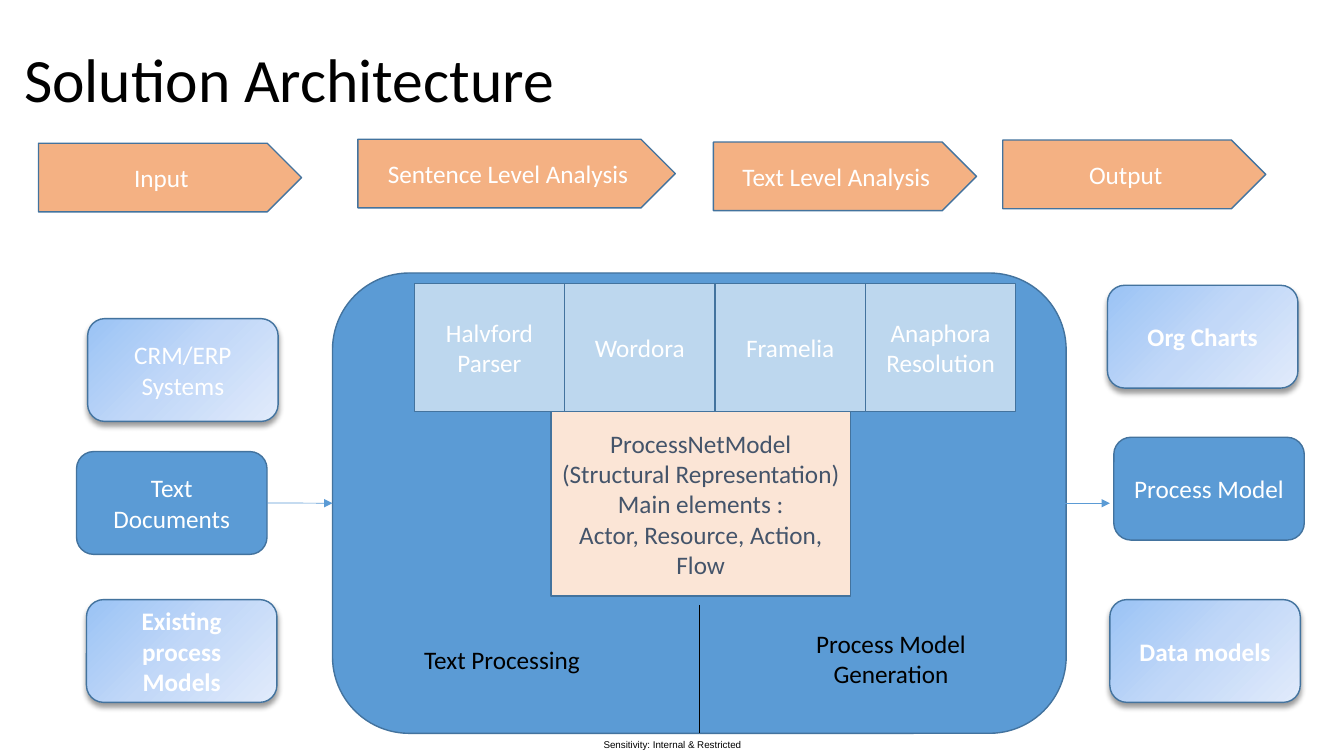
from copy import deepcopy
from lxml import etree
from pptx import Presentation
from pptx import util as u
from pptx.dml.color import RGBColor
from pptx.enum import shapes, text
from pptx.oxml import parse_xml
from pptx.oxml.ns import qn, nsdecls

# Content, with lengths in cm
COLORS = {"black": "000000", "white": "FFFFFF", "blue": "5B9BD5", "outline": "43739E",
          "orange": "F4B183", "pale_blue": "BDD7EE", "peach": "FBE5D6", "slate": "44546A"}
GRADIENT = ["9AC3F5", "C2D8F8", "E1EBFB"]

STAGE_HEIGHT = 1.73
STAGES = [  # name, left, top, width
    ("Input", 0.97, 3.61, 6.63),
    ("Sentence Level Analysis", 9.02, 3.51, 8.0),
    ("Text Level Analysis", 17.98, 3.58, 6.63),
    ("Output", 25.27, 3.53, 6.63),
]
NODE_SIZE = (4.8, 2.59)
MAIN_NODES = [("Text Documents", 1.93, 11.38), ("Process Model", 28.07, 11.02)]
SOFT_NODES = [  # name, left, top, bold
    ("CRM/ERP Systems", 2.21, 8.03, False),
    ("Existing process Models", 2.18, 15.11, True),
    ("Data models", 27.97, 15.11, True),
    ("Org Charts", 27.91, 7.19, True),
]
ENGINE_BOX = (8.38, 6.88, 18.49, 11.6)
TOOLS = ["Halvford Parser", "Wordora", "Framelia", "Anaphora Resolution"]
TOOL_BOX = (10.44, 7.14, 3.79, 3.23)
MODEL_BOX = (13.89, 10.37, 7.54, 4.65)
MODEL_LINES = ["ProcessNetModel", "(Structural Representation)", "Main elements :",
               "Actor, Resource, Action, Flow"]

SHAPE = shapes.MSO_SHAPE
CENTER, LEFT = text.PP_ALIGN.CENTER, text.PP_ALIGN.LEFT
MIDDLE, TOP = text.MSO_ANCHOR.MIDDLE, text.MSO_ANCHOR.TOP

presentation = Presentation()
presentation.slide_width, presentation.slide_height = u.Cm(33.87), u.Cm(19.05)
slide = presentation.slides.add_slide(presentation.slide_layouts[6])


def rgb(name):
    return RGBColor.from_string(COLORS[name])


def write(shape, lines, color, size=18, font="Calibri", bold=False, align=CENTER, anchor=MIDDLE):
    frame = shape.text_frame
    frame.word_wrap = True
    frame.vertical_anchor = anchor
    frame.text = "\n".join(lines)
    for paragraph in frame.paragraphs:
        paragraph.alignment = align
        paragraph.font.name, paragraph.font.size = font, u.Pt(size)
        paragraph.font.bold = bold
        paragraph.font.color.rgb = rgb(color)
    return frame


def add_box(kind, box, fill, lines=(), color="white", bold=False, parent=slide):
    shape = parent.shapes.add_shape(kind, *map(u.Cm, box))
    shape.shadow.inherit = False
    if fill:
        shape.fill.solid()
        shape.fill.fore_color.rgb = rgb(fill)
    shape.line.color.rgb = rgb("outline")
    shape.line.width = u.Pt(1)
    if lines:
        write(shape, lines, color, bold=bold)
    return shape


def add_label(box, line, **style):
    return write(slide.shapes.add_textbox(*map(u.Cm, box)), [line], "black", **style)


def add_line(x1, y1, x2, y2, color, arrow=False):
    line = slide.shapes.add_connector(shapes.MSO_CONNECTOR.STRAIGHT, *map(u.Cm, (x1, y1, x2, y2)))
    line.line.color.rgb = rgb(color)
    line.line.width = u.Pt(0.5)
    if arrow:
        etree.SubElement(line.line._get_or_add_ln(), qn("a:tailEnd"), type="triangle")
    etree.SubElement(line._element.spPr, qn("a:effectLst"))
    return line


def soften(shape):
    """Three-stop diagonal gradient and a soft shadow below."""
    shape.fill.gradient()
    shape.fill.gradient_angle = 315
    stop_list = shape._element.spPr.find(qn("a:gradFill")).find(qn("a:gsLst"))
    stop_list.insert(1, deepcopy(stop_list[0]))
    for index, (stop, color) in enumerate(zip(shape.fill.gradient_stops, GRADIENT)):
        stop.position = index / 2
        stop.color.rgb = RGBColor.from_string(color)
    shape._element.spPr.find(qn("a:effectLst")).append(parse_xml(
        f'<a:outerShdw {nsdecls("a")} blurRad="{u.Pt(4)}" dist="{u.Pt(3)}" dir="5400000" '
        'algn="t" rotWithShape="0"><a:srgbClr val="000000"><a:alpha val="40000"/>'
        '</a:srgbClr></a:outerShdw>'))


# Footer and title
footer = add_label((14.86, 18.49, 4.17, 0.56), "Sensitivity: Internal & Restricted",
                   size=7, font="Arial")
footer.margin_left = footer.margin_right = footer.margin_top = footer.margin_bottom = 0
title = add_label((0.36, 0.25, 29.21, 3.68), "Solution Architecture", size=44, align=LEFT)
title.paragraphs[0].line_spacing = 0.9

# Stage arrows
for name, left, top, width in STAGES:
    add_box(SHAPE.PENTAGON, (left, top, width, STAGE_HEIGHT), "orange", [name])

# Main input and output, around the engine
documents, process_model = [
    add_box(SHAPE.ROUNDED_RECTANGLE, (left, top, *NODE_SIZE), "blue", [name])
    for name, left, top in MAIN_NODES]
engine = add_box(SHAPE.ROUNDED_RECTANGLE, ENGINE_BOX, "blue")

# Row of tools
tool_group = slide.shapes.add_group_shape()
left, top, width, height = TOOL_BOX
for index, name in enumerate(TOOLS):
    add_box(SHAPE.RECTANGLE, (left + index * width, top, width, height), "pale_blue", [name],
            parent=tool_group)

# Central model and the two halves below it
add_box(SHAPE.RECTANGLE, MODEL_BOX, "peach", MODEL_LINES, "slate")
middle_x = ENGINE_BOX[0] + ENGINE_BOX[2] / 2
add_line(middle_x, 15.24, middle_x, ENGINE_BOX[1] + ENGINE_BOX[3], "black")
add_label((10.44, 16.1, 5.87, 1.02), "Text Processing", align=LEFT, anchor=TOP)
add_label((19.71, 15.7, 5.49, 1.8), "Process Model Generation", anchor=TOP)

# Flow in and out
flow_y = ENGINE_BOX[1] + ENGINE_BOX[3] / 2
flow_in = add_line(6.73, flow_y, ENGINE_BOX[0], flow_y, "blue", arrow=True)
flow_in.begin_connect(documents, 3)
flow_in.end_connect(engine, 1)
add_line(26.31, flow_y, 27.97, flow_y, "blue", arrow=True)

# Secondary inputs and outputs
for name, left, top, bold in SOFT_NODES:
    soften(add_box(SHAPE.ROUNDED_RECTANGLE, (left, top, *NODE_SIZE), None, [name], bold=bold))

presentation.save("out.pptx")
